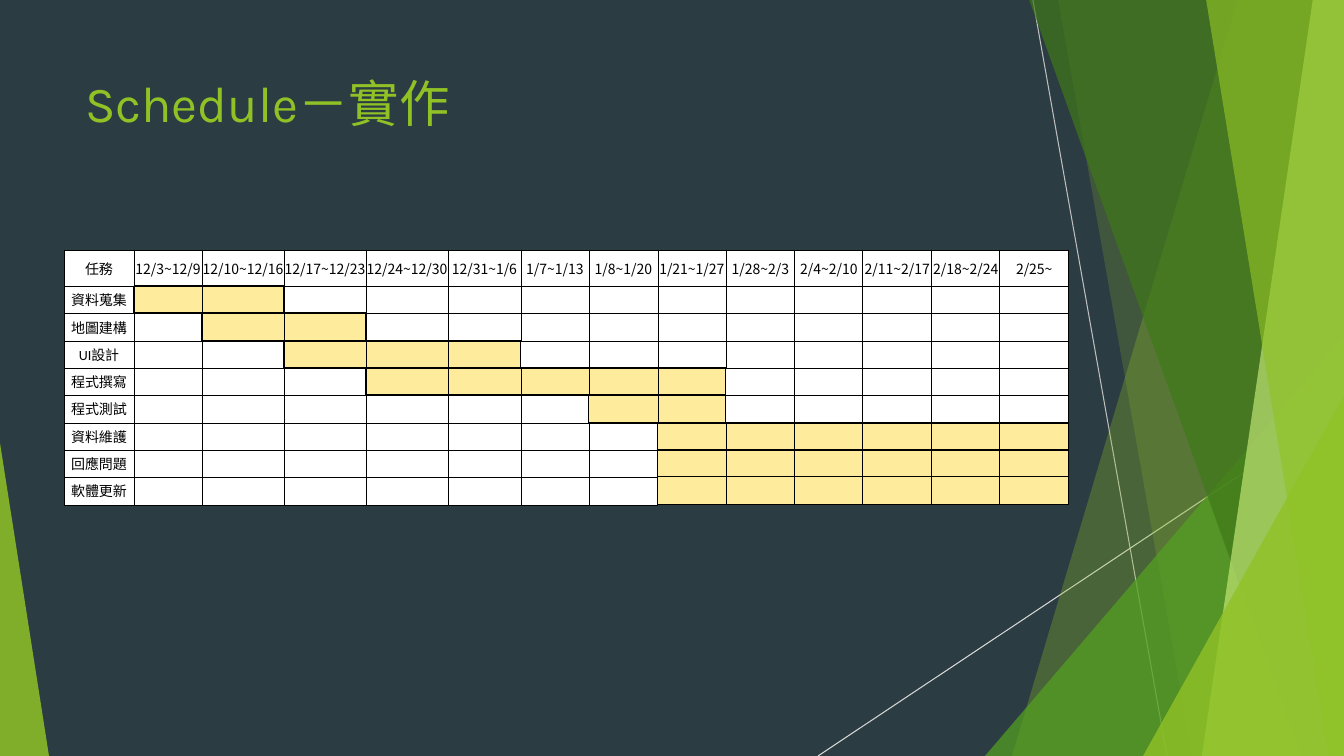
from dataclasses import dataclass

from lxml.etree import SubElement
from pptx import Presentation
from pptx.dml.color import RGBColor
from pptx.enum.shapes import MSO_CONNECTOR as Connector, MSO_SHAPE as Shape
from pptx.enum.text import MSO_ANCHOR as Anchor, MSO_AUTO_SIZE as AutoSize, PP_ALIGN as Align
from pptx.oxml.ns import qn
from pptx.util import Pt

WIDTH, HEIGHT = 1344, 756


@dataclass(frozen=True)
class Theme:
    background: str = "2C3C43"
    lime: str = "90C226"
    green: str = "54A021"
    forest: str = "3F7819"
    pale_lime: str = "C0E474"
    silver: str = "BFBFBF"
    light_silver: str = "D9D9D9"
    ink: str = "000000"
    paper: str = "FFFFFF"
    planned: str = "FFEB9C"
    title_font: str = "Karla"
    table_font: str = "Noto Sans CJK TC"
    latin_font: str = "Calibri"
    title_size: int = 36
    table_size: int = 10
    ray_width: float = 0.75
    thin: float = 0.5
    thick: float = 1


class SlideBuilder:
    def __init__(self, theme):
        self.theme = theme
        self.deck = Presentation()
        self.deck.slide_width = self.emu(WIDTH)
        self.deck.slide_height = self.emu(HEIGHT)
        self.slide = self.deck.slides.add_slide(self.deck.slide_layouts[5])
        backdrop = self.slide.background.fill
        backdrop.solid()
        backdrop.fore_color.rgb = RGBColor.from_string(theme.background)

    @staticmethod
    def emu(px):
        return round(px * 914400 / 100.8)

    def format_run(self, run, font, size, color):
        run.font.name = font
        run.font.size = Pt(size)
        run.font.color.rgb = RGBColor.from_string(color)
        SubElement(run.font._element, qn("a:ea"), typeface=self.theme.table_font)

    def title(self, wording, left, top, width, height):
        heading = self.slide.shapes.title
        heading.left, heading.top = self.emu(left), self.emu(top)
        heading.width, heading.height = self.emu(width), self.emu(height)
        frame = heading.text_frame
        frame.text = wording
        frame.word_wrap = True
        frame.auto_size = AutoSize.NONE
        frame.vertical_anchor = Anchor.TOP
        frame.paragraphs[0].alignment = Align.LEFT
        self.format_run(frame.paragraphs[0].runs[0], self.theme.title_font,
                        self.theme.title_size, self.theme.lime)

    def ray(self, start, end, color):
        ray = self.slide.shapes.add_connector(
            Connector.STRAIGHT, *map(self.emu, (*start, *end)))
        ray.line.color.rgb = RGBColor.from_string(color)
        ray.line.width = Pt(self.theme.ray_width)
        SubElement(ray._element.spPr, qn("a:effectLst"))

    def tint(self, facet, color, opacity):
        facet.shadow.inherit = False
        facet.line.fill.background()
        facet.fill.solid()
        facet.fill.fore_color.rgb = RGBColor.from_string(color)
        swatch = facet._element.spPr.find(qn("a:solidFill"))[0]
        SubElement(swatch, qn("a:alpha"), val=str(opacity * 1000))

    def right_panel(self, top_x, bottom_x, color, opacity):
        corners = [(top_x, -1), (WIDTH, -1), (WIDTH, HEIGHT), (bottom_x, HEIGHT)]
        start, *rest = [(self.emu(x), self.emu(y)) for x, y in corners]
        outline = self.slide.shapes.build_freeform(*start)
        outline.add_line_segments(rest, close=True)
        self.tint(outline.convert_to_shape(), color, opacity)

    def triangle(self, left, top, width, apex, color, opacity):
        wedge = self.slide.shapes.add_shape(
            Shape.ISOSCELES_TRIANGLE, *map(self.emu, (left, top, width, HEIGHT - top)))
        wedge.adjustments[0] = apex
        self.tint(wedge, color, opacity)

    def border(self, cell, side, width):
        edge = SubElement(cell._tc.get_or_add_tcPr(), qn(f"a:{side}"), w=str(Pt(width)))
        SubElement(SubElement(edge, qn("a:solidFill")), qn("a:srgbClr"), val=self.theme.ink)

    def cell(self, cell, wording, planned, edges):
        theme = self.theme
        cell.margin_left = cell.margin_right = cell.margin_top = cell.margin_bottom = 0
        cell.vertical_anchor = Anchor.MIDDLE
        cell.text = wording
        paragraph = cell.text_frame.paragraphs[0]
        paragraph.alignment = Align.CENTER
        for run in paragraph.runs:
            font = theme.latin_font if wording[0].isalpha() and wording.isascii() else theme.table_font
            if wording.startswith("UI"):
                font = theme.latin_font
            self.format_run(run, font, theme.table_size, theme.ink)
        SubElement(paragraph._p, qn("a:endParaRPr"), sz=str(theme.table_size * 100))
        for side, width in edges.items():
            self.border(cell, side, width)
        cell.fill.solid()
        cell.fill.fore_color.rgb = RGBColor.from_string(theme.planned if planned else theme.paper)

    def gantt(self, left, top, corner, periods, tasks, column_widths, row_heights):
        frame = self.slide.shapes.add_table(
            len(row_heights), len(column_widths),
            *map(self.emu, (left, top, sum(column_widths), sum(row_heights))))
        schedule = frame.table
        schedule.first_row = schedule.horz_banding = False
        for column, width in zip(schedule.columns, column_widths):
            column.width = self.emu(width)
        for row, height in zip(schedule.rows, row_heights):
            row.height = self.emu(height)

        planned = {(row, column)
                   for row, (_, first, last) in enumerate(tasks, 1)
                   for column in range(first, last + 1)}
        labels = {(0, column): period for column, period in enumerate([corner, *periods])}
        labels.update({(row, 0): task[0] for row, task in enumerate(tasks, 1)})
        neighbours = {"lnL": (0, -1), "lnR": (0, 1), "lnT": (-1, 0), "lnB": (1, 0)}
        for row in range(len(row_heights)):
            for column in range(len(column_widths)):
                here = (row, column) in planned
                edges = {}
                for side, (down, across) in neighbours.items():
                    there = (row + down, column + across) in planned
                    bold = here != there if across else here or there
                    edges[side] = self.theme.thick if bold else self.theme.thin
                self.cell(schedule.cell(row, column), labels.get((row, column), ""), here, edges)


PERIODS = ["12/3~12/9", "12/10~12/16", "12/17~12/23", "12/24~12/30", "12/31~1/6",
           "1/7~1/13", "1/8~1/20", "1/21~1/27", "1/28~2/3", "2/4~2/10",
           "2/11~2/17", "2/18~2/24", "2/25~"]
TASKS = [("資料蒐集", 1, 2), ("地圖建構", 2, 3), ("UI設計", 3, 5), ("程式撰寫", 4, 8),
         ("程式測試", 7, 8), ("資料維護", 8, 13), ("回應問題", 8, 13), ("軟體更新", 8, 13)]


def main():
    theme = Theme()
    page = SlideBuilder(theme)
    page.ray((1033, 0), (1167, HEIGHT), theme.silver)
    page.ray((WIDTH, 406), (818, HEIGHT), theme.light_silver)
    page.right_panel(1238, 1012, theme.lime, 30)
    page.right_panel(1058, 1192, theme.lime, 20)
    page.triangle(985, 336, 359, 1, theme.green, 72)
    page.right_panel(1029, 1301, theme.forest, 70)
    page.right_panel(1313, 1202, theme.pale_lime, 70)
    page.right_panel(1206, 1329, theme.lime, 65)
    page.triangle(1143, 396, 201, 1, theme.lime, 80)
    page.triangle(0, 443, 49, 0, theme.lime, 85)
    page.title("Schedule－實作", 75, 67, 948, 145)
    page.gantt(64, 250, "任務", PERIODS, TASKS,
               [70, 68, 82, 82, 82, 73] + [68, 69] * 4,
               [36] + [27 + (row % 3 == 1) for row in range(len(TASKS))])
    page.deck.save("out.pptx")


if __name__ == "__main__":
    main()
